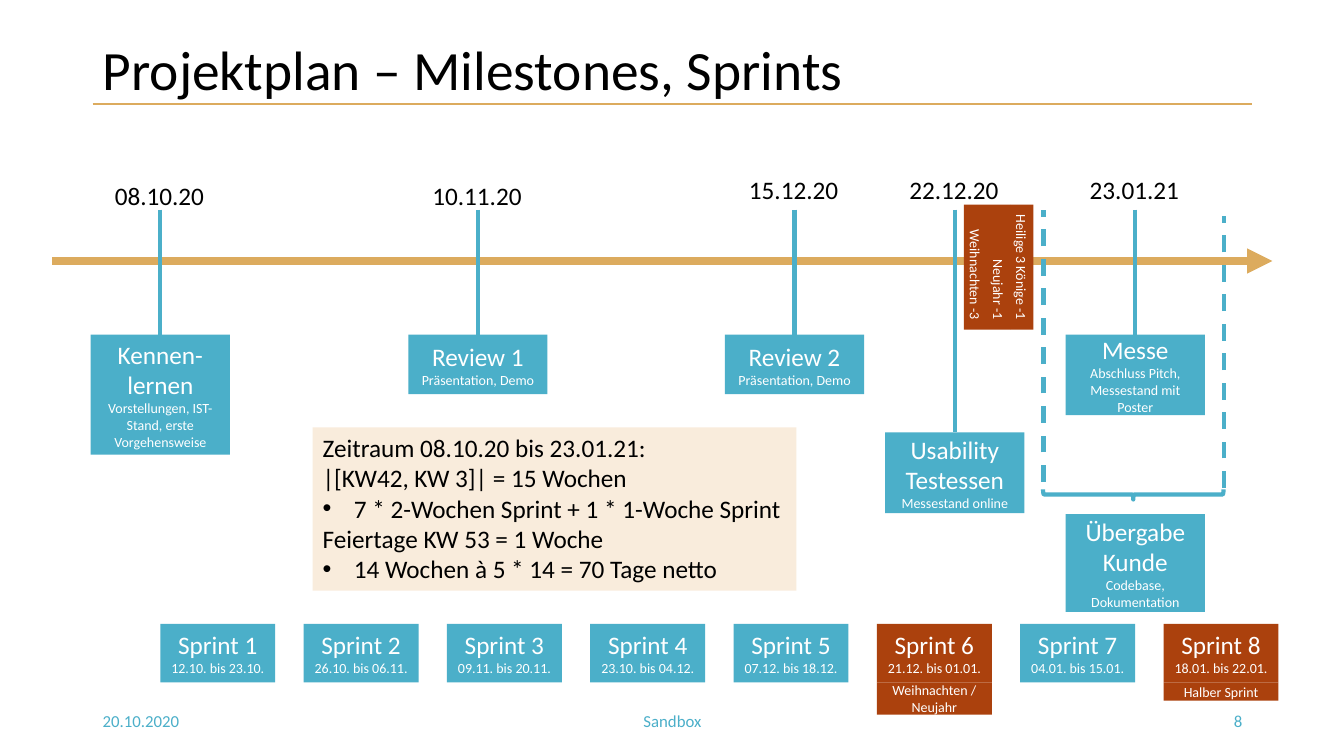
from lxml.etree import SubElement
from pptx import Presentation
from pptx.dml.color import RGBColor
from pptx.enum.dml import MSO_LINE
from pptx.enum.shapes import MSO_CONNECTOR, MSO_SHAPE
from pptx.enum.text import MSO_ANCHOR, MSO_AUTO_SIZE, PP_ALIGN
from pptx.oxml.ns import qn
from pptx.util import Inches, Pt

TEAL, RUST, GOLD, CREAM = "4BAFC9", "AB410D", "DCAB5E", "F9ECDC"
WHITE, BLACK = "FFFFFF", "000000"


def rgb(hex_colour):
    return RGBColor.from_string(hex_colour)


def apply(target, values):
    for name, value in values.items():
        setattr(target, name, value)


class PlanSlide:
    """Holds the font and the current slide; one method per kind of element."""

    font_name = "Calibri"
    large, small, footer_size = 18, 10, 12

    def __init__(self, slide):
        self.slide = slide

    def place(self, shape, left, top, width, height):
        apply(shape, {"left": Inches(left), "top": Inches(top),
                      "width": Inches(width), "height": Inches(height)})

    def set_lines(self, shape, lines, colour, align=PP_ALIGN.LEFT,
                  anchor=MSO_ANCHOR.MIDDLE, wrap=True):
        """Fill a shape with (text, size) lines, one paragraph each."""
        frame = shape.text_frame
        apply(frame, {"auto_size": MSO_AUTO_SIZE.NONE, "word_wrap": wrap,
                      "vertical_anchor": anchor})
        for index, (text, size) in enumerate(lines):
            paragraph = frame.add_paragraph() if index else frame.paragraphs[0]
            apply(paragraph, {"alignment": align, "space_before": Pt(0)})
            run = paragraph.add_run()
            run.text = text
            apply(run.font, {"name": self.font_name, "size": Pt(size)})
            run.font.color.rgb = rgb(colour)
        return frame

    def title(self, text, *area):
        holder = self.slide.shapes.title
        self.place(holder, *area)
        frame = self.set_lines(holder, [(text, 39.6)], BLACK)
        frame.paragraphs[0].line_spacing = 0.9

    def note(self, entries, *area):
        """Body text from (text, is_bullet) entries on a tinted ground."""
        holder = self.slide.placeholders[1]
        self.place(holder, *area)
        holder.fill.solid()
        holder.fill.fore_color.rgb = rgb(CREAM)
        frame = self.set_lines(holder, [(text, self.large) for text, _ in entries],
                               BLACK, anchor=MSO_ANCHOR.TOP, wrap=False)
        for paragraph, (_, is_bullet) in zip(frame.paragraphs, entries):
            properties = paragraph._p.get_or_add_pPr()
            indent = Inches(0.31) if is_bullet else 0
            properties.set("marL", str(indent))
            properties.set("indent", str(-indent))
            if is_bullet:
                SubElement(properties, qn("a:buFont")).set("typeface", "Arial")
                SubElement(properties, qn("a:buChar")).set("char", "•")
            else:
                SubElement(properties, qn("a:buNone"))

    def label(self, text, size, colour, area, align=PP_ALIGN.LEFT, **options):
        box = self.slide.shapes.add_textbox(*map(Inches, area))
        self.set_lines(box, [(text, size)], colour, align, **options)

    def card(self, lines, fill, area, align=PP_ALIGN.CENTER, vertical=False):
        card = self.slide.shapes.add_shape(MSO_SHAPE.RECTANGLE, *map(Inches, area))
        card.shadow.inherit = False
        card.fill.solid()
        card.fill.fore_color.rgb = rgb(fill)
        card.line.fill.background()
        frame = self.set_lines(card, lines, WHITE, align)
        if vertical:
            frame._txBody.bodyPr.set("vert", "vert")

    def named_card(self, name, detail, fill, area):
        self.card([(name, self.large), (detail, self.small)], fill, area)

    def line(self, start, end, colour, width, dash=None, arrow=False):
        line = self.slide.shapes.add_connector(
            MSO_CONNECTOR.STRAIGHT, *map(Inches, (*start, *end)))
        apply(line.line, {"width": Pt(width), "dash_style": dash})
        line.line.color.rgb = rgb(colour)
        if arrow:
            SubElement(line.line._get_or_add_ln(), qn("a:tailEnd")).set("type", "triangle")
        SubElement(line._element.spPr, qn("a:effectLst"))

    def brace(self, area):
        brace = self.slide.shapes.add_shape(MSO_SHAPE.LEFT_BRACE, *map(Inches, area))
        brace.rotation = 270
        brace.shadow.inherit = False
        brace.fill.background()
        brace.line.width = Pt(3)
        brace.line.color.rgb = rgb(TEAL)


def main():
    deck = Presentation()
    apply(deck, {"slide_width": Inches(13.33), "slide_height": Inches(7.5)})
    plan = PlanSlide(deck.slides.add_slide(deck.slide_layouts[1]))

    # Title and time axis
    plan.line((0.92, 1.03), (12.42, 1.03), GOLD, 1.5)
    plan.title("Projektplan – Milestones, Sprints", 0.92, 0.4, 11.5, 0.63)
    plan.line((0.52, 2.59), (12.62, 2.59), GOLD, 6, arrow=True)

    # Milestones: centre, date, date top, card top, card height, name, detail
    milestones = [
        (1.59, "08.10.20", 1.74, 3.32, 1.19, "Kennen-lernen",
         "Vorstellungen, IST-Stand, erste Vorgehensweise"),
        (4.74, "10.11.20", 1.74, 3.32, 0.59, "Review 1", "Präsentation, Demo"),
        (7.88, "15.12.20", 1.68, 3.32, 0.59, "Review 2", "Präsentation, Demo"),
        (9.47, "22.12.20", 1.68, 4.29, 0.8, "Usability Testessen", "Messestand online"),
        (11.26, "23.01.21", 1.68, 3.32, 0.8, "Messe",
         "Abschluss Pitch, Messestand mit Poster"),
    ]
    card_width, date_width = 1.38, 1.1
    for centre, date, date_top, card_top, height, name, detail in milestones:
        plan.line((centre, 2.08), (centre, card_top), TEAL, 3)
        plan.named_card(name, detail, TEAL,
                        (centre - card_width / 2, card_top, card_width, height))
        plan.label(date, plan.large, BLACK,
                   (centre - date_width / 2, date_top, date_width, 0.4),
                   anchor=MSO_ANCHOR.TOP, wrap=False)

    # Handover period
    plan.named_card("Übergabe Kunde", "Codebase, Dokumentation", TEAL,
                    (10.57, 5.1, card_width, 0.97))
    plan.brace((11.19, 4.01, 0.1, 1.79))
    for edge, top in ((10.35, 2.08), (12.14, 2.14)):
        plan.line((edge, top + 2.7), (edge, top), TEAL, 3, dash=MSO_LINE.DASH)

    # Holidays
    holiday_width = 0.23
    for index, holiday in enumerate(["Weihnachten -3", "Neujahr -1", "Heilige 3 Könige -1"]):
        plan.card([(holiday, plan.small)], RUST,
                  (9.56 + index * holiday_width, 2.03, holiday_width, 1.24),
                  PP_ALIGN.RIGHT, vertical=True)

    # Time budget
    plan.note([
        ("Zeitraum 08.10.20 bis 23.01.21:", False),
        ("|[KW42, KW 3]| = 15 Wochen", False),
        ("7 * 2-Wochen Sprint + 1 * 1-Woche Sprint", True),
        ("Feiertage KW 53 = 1 Woche", False),
        ("14 Wochen à 5 * 14 = 70 Tage netto", True),
    ], 3.1, 4.24, 4.8, 1.62)

    # Sprints, with remark and remark height where the sprint is shortened
    sprints = ["12.10. bis 23.10.", "26.10. bis 06.11.", "09.11. bis 20.11.",
               "23.10. bis 04.12.", "07.12. bis 18.12.", "21.12. bis 01.01.",
               "04.01. bis 15.01.", "18.01. bis 22.01."]
    remarks = {6: ("Weihnachten / Neujahr", 0.32), 8: ("Halber Sprint", 0.18)}
    sprint_width, sprint_pitch = 1.14, (11.54 - 1.59) / 7
    for number, period in enumerate(sprints, 1):
        left = 1.59 + (number - 1) * sprint_pitch
        plan.named_card(f"Sprint {number}", period, RUST if number in remarks else TEAL,
                        (left, 6.19, sprint_width, 0.58))
        if number in remarks:
            remark, height = remarks[number]
            plan.card([(remark, plan.small)], RUST, (left, 6.77, sprint_width, height))

    # Footer
    for text, left, width, align in (("20.10.2020", 0.92, 3, PP_ALIGN.LEFT),
                                     ("Sandbox", 4.42, 4.5, PP_ALIGN.CENTER),
                                     ("8", 9.42, 3, PP_ALIGN.RIGHT)):
        plan.label(text, plan.footer_size, TEAL, (left, 6.95, width, 0.4), align)

    deck.save("out.pptx")


if __name__ == "__main__":
    main()
